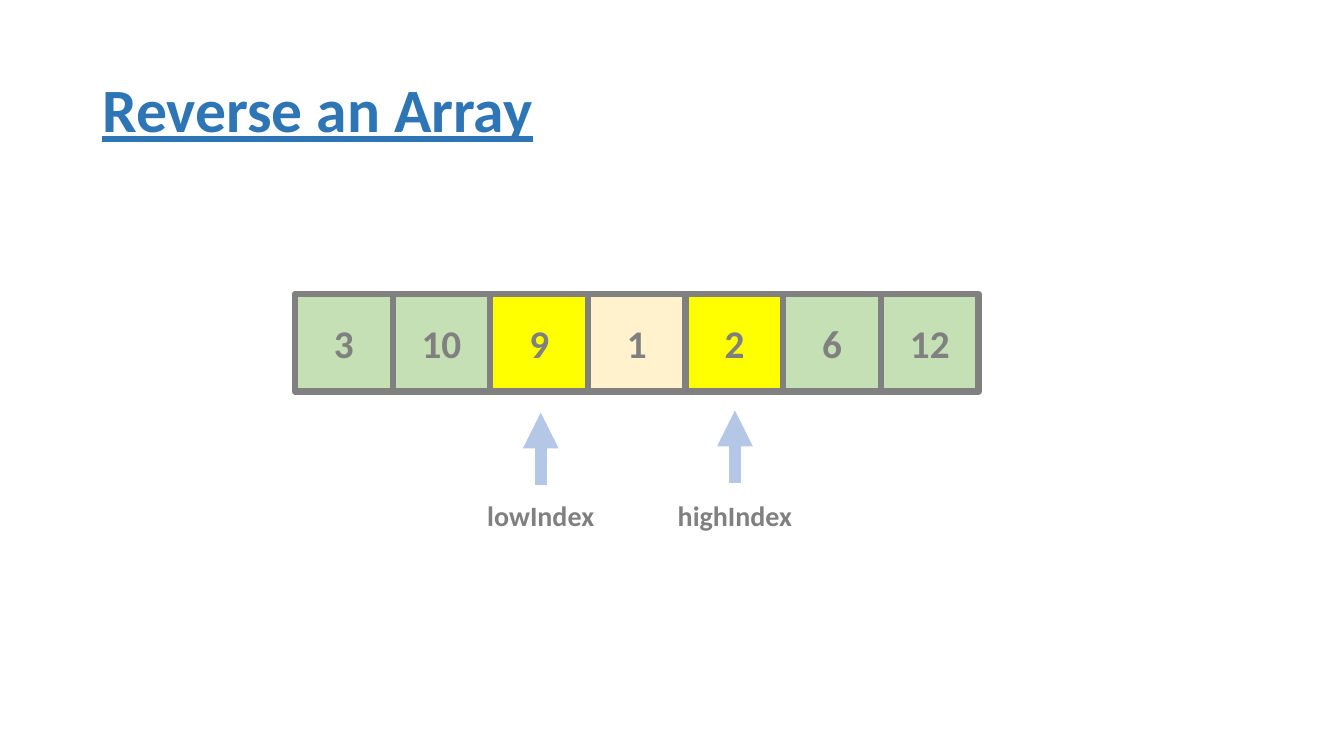
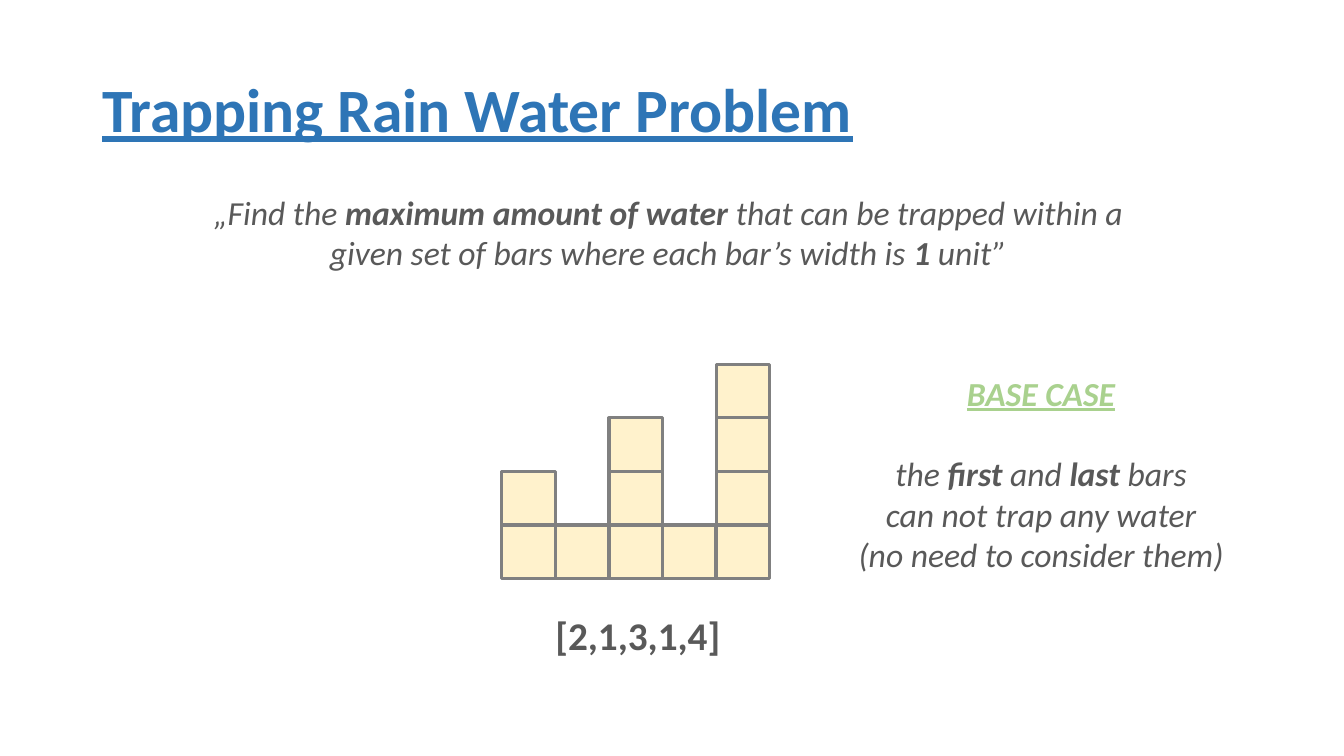
"""Build two algorithm slides: reversing an array and trapping rain water."""
import pptx
import pptx.dml.color
import pptx.enum.shapes
import pptx.enum.text
import pptx.oxml
import pptx.oxml.ns
import pptx.util

PX = 9525
BLUE, GRAY, TEXT_GRAY = "2E75B6", "808080", "595959"
GREEN, LIGHT_GREEN, CREAM = "A9D18E", "C5E0B4", "FFF2CC"
YELLOW, ARROW_BLUE = "FFFF00", "B4C7E7"
ALIGN = pptx.enum.text.PP_ALIGN
ANCHOR = pptx.enum.text.MSO_ANCHOR
BOLD = {"bold": True}


def paint(target, color):
    """Give a fill format a solid colour."""
    target.solid()
    target.fore_color.rgb = pptx.dml.color.RGBColor.from_string(color)


def add_text(page, place, paragraphs, fill=None, border=0, size=24, color=TEXT_GRAY,
             align=ALIGN.CENTER, anchor=ANCHOR.TOP, wrap=True, spacing=None, gaps=(), **style):
    """Add a text box, or a bordered rectangle when a fill is given."""
    place = [length * PX for length in place]
    if fill:
        box = page.shapes.add_shape(pptx.enum.shapes.MSO_SHAPE.RECTANGLE, *place)
        box.shadow.inherit = False
        paint(box.fill, fill)
        paint(box.line.fill, GRAY)
        box.line.width = pptx.util.Pt(border)
    else:
        box = page.shapes.add_textbox(*place)
    frame = box.text_frame
    frame.word_wrap = wrap
    frame.vertical_anchor = anchor
    for index, spans in enumerate(paragraphs):
        para = frame.add_paragraph() if index else frame.paragraphs[0]
        para.alignment = align
        if spacing:
            para.line_spacing = spacing
        if index in gaps:
            para.space_before = pptx.util.Pt(29)
        for words, changes in spans:
            look = {"color": color, **style, **changes}
            span = para.add_run()
            span.text = words
            span.font.name = "Calibri"
            span.font.size = pptx.util.Pt(size)
            span.font.bold = look.get("bold", False)
            span.font.italic = look.get("italic", False)
            span.font.underline = look.get("underline", False)
            paint(span.font.fill, look["color"])


deck = pptx.Presentation()
deck.slide_width = 1280 * PX
deck.slide_height = 720 * PX

pages = []
for title in ("Reverse an Array", "Trapping Rain Water Problem"):
    page = deck.slides.add_slide(deck.slide_layouts[6])
    add_text(page, (88, 38, 1104, 139), [[(title, {})]], size=44, color=BLUE, align=ALIGN.LEFT,
             anchor=ANCHOR.MIDDLE, spacing=0.9, bold=True, underline=True)
    pages.append(page)
array_page, water_page = pages

CELL = 93
cells = [(3, LIGHT_GREEN), (10, LIGHT_GREEN), (9, YELLOW), (1, CREAM),
         (2, YELLOW), (6, LIGHT_GREEN), (12, LIGHT_GREEN)]
for index, (value, fill) in enumerate(cells):
    add_text(array_page, (281 + index * CELL, 280, CELL, CELL), [[(str(value), {})]], fill=fill,
             border=4.5, size=28, color=GRAY, anchor=ANCHOR.MIDDLE, bold=True)

for label, center, tip in (("lowIndex", 515, 393), ("highIndex", 700, 391)):
    arrow = array_page.shapes.add_connector(
        pptx.enum.shapes.MSO_CONNECTOR.STRAIGHT,
        center * PX, (tip + 69) * PX, center * PX, tip * PX)
    paint(arrow.line.fill, ARROW_BLUE)
    arrow.line.width = pptx.util.Pt(8.5)
    head = pptx.oxml.parse_xml(
        f'<a:tailEnd {pptx.oxml.ns.nsdecls("a")} type="triangle"/>')
    arrow.line._get_or_add_ln().append(head)
    effects = pptx.oxml.parse_xml(f'<a:effectLst {pptx.oxml.ns.nsdecls("a")}/>')
    arrow._element.spPr.append(effects)
    add_text(array_page, (center - 65, 470, 130, 42), [[(label, {})]], size=20, color=GRAY,
             wrap=False, bold=True)

add_text(water_page, (100, 178, 1073, 100), [
    [("„Find the ", {}), ("maximum amount of water ", BOLD),
     ("that can be trapped within a", {})],
    [("given set of bars where each bar’s width is ", {}), ("1", BOLD), (" unit”", {})],
], italic=True)

add_text(water_page, (803, 350, 377, 204), [
    [("BASE CASE", {"color": GREEN, "bold": True, "underline": True})],
    [("the ", {}), ("first", BOLD), (" and ", {}), ("last", BOLD), (" bars", {})],
    [("can not trap any water", {})],
    [("(no need to consider them)", {})],
], wrap=False, gaps=(1,), italic=True)

UNIT = 51
heights = [2, 1, 3, 1, 4]
for column, height in enumerate(heights):
    for row in range(height):
        add_text(water_page, (478 + column * UNIT, 500 - row * UNIT, UNIT, UNIT), [],
                 fill=CREAM, border=2.25)

add_text(water_page, (518, 577, 179, 55), [[("[2,1,3,1,4]", {})]], size=28, wrap=False, bold=True)

deck.save("out.pptx")
